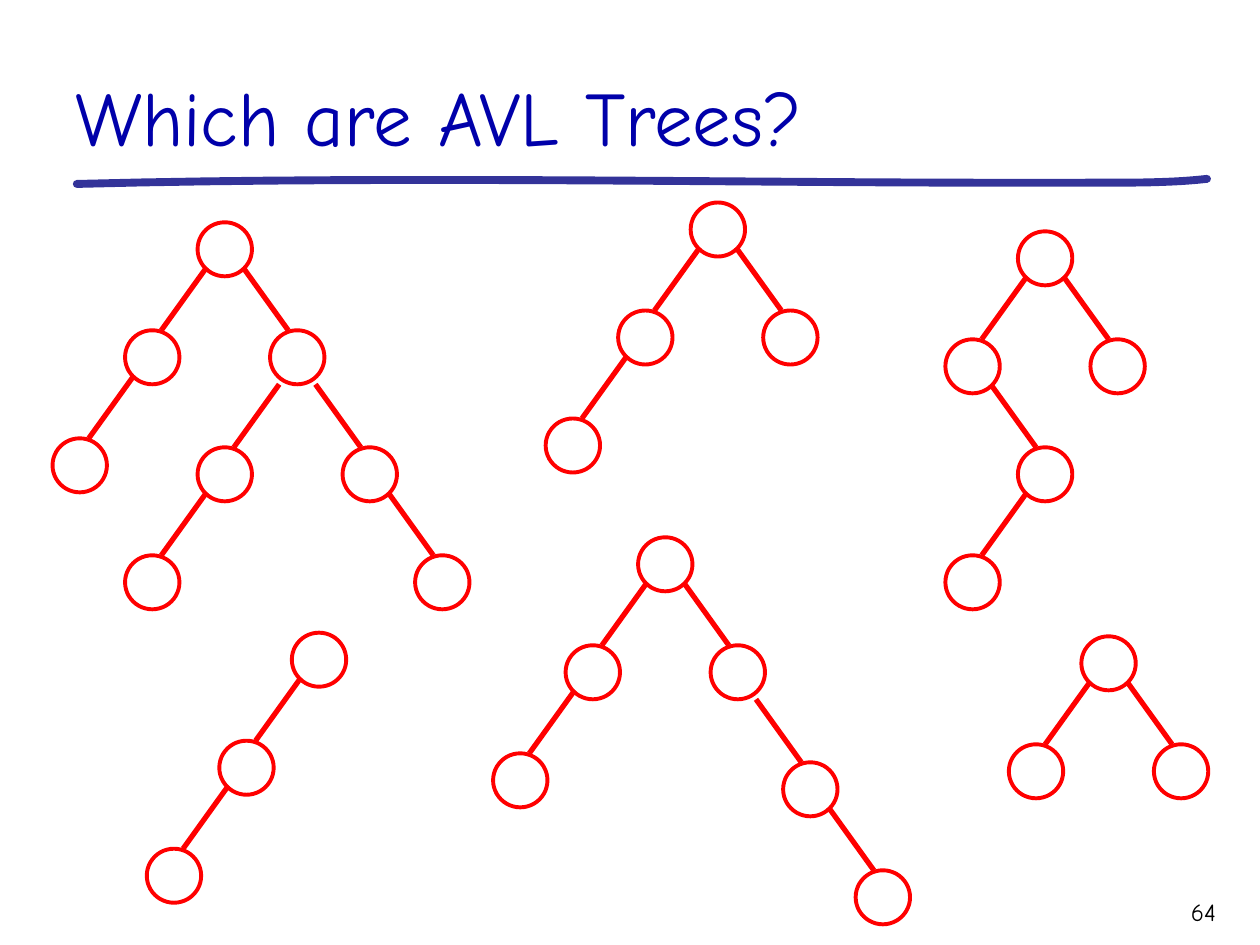
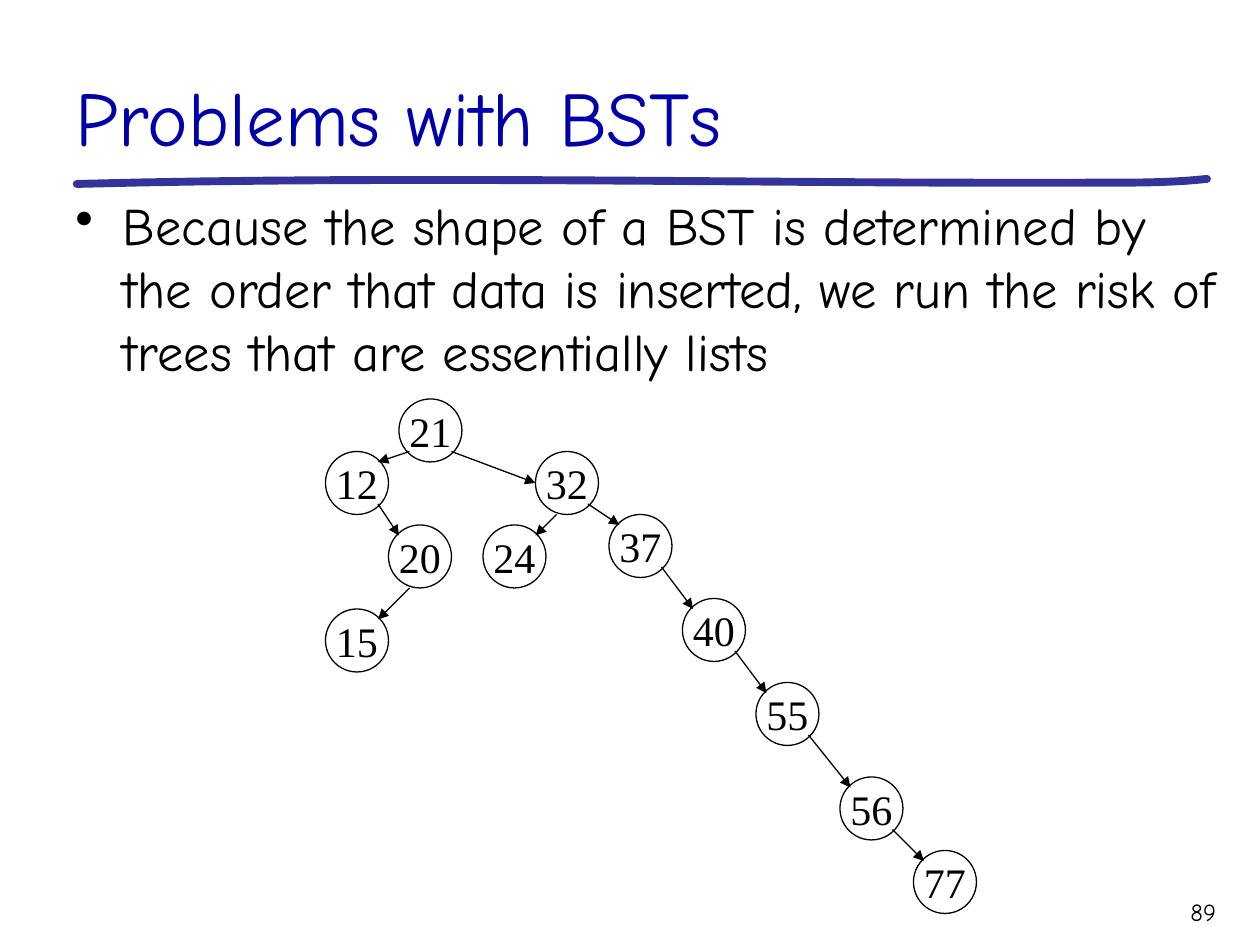
from dataclasses import dataclass

from lxml.etree import SubElement
from pptx import Presentation
from pptx.dml.color import RGBColor as RGB
from pptx.enum.shapes import MSO_CONNECTOR as Connector, MSO_SHAPE as Shape
from pptx.enum.text import MSO_ANCHOR as Anchor, PP_ALIGN as Align
from pptx.oxml.ns import qn
from pptx.util import Inches, Pt


@dataclass(frozen=True)
class Theme:
    ink: RGB = RGB(0x00, 0x00, 0x00)
    title: RGB = RGB(0x00, 0x00, 0xAA)
    rule: RGB = RGB(0x33, 0x33, 0x99)
    tree: RGB = RGB(0xFF, 0x00, 0x00)
    text_font: str = "Comic Neue"
    key_font: str = "Times New Roman"
    title_size: float = 44
    body_size: float = 30
    key_size: float = 24
    page_size: float = 14
    rule_width: float = 4.5
    edge_width: float = 3
    ring_width: float = 2.25
    thin_width: float = 0.75


PAGE_GRID = (120, 90)
TREE_GRID = (139, 105)
NODE = 6
RULE_CURVES = (
    ((7.32, 17.52), (39.96, 16.68), (72.6, 17.52), (105.12, 17.4)),
    ((105.12, 17.4), (108.48, 17.4), (111.72, 17.4), (114.96, 17.04)),
)
CURVE_STEPS = 16

STEPS = {"L": (-8, 12), "R": (8, 12), "l": (-8, 13), "r": (8, 13)}
AVL_CANDIDATES = (
    ((119.3, 70.7), "L R"),
    ((76.2, 22.5), "L R LL"),
    ((21.8, 24.7), "L R LL Rl Rr RlL RrR"),
    ((70.4, 59.7), "L R LL Rr RrR"),
    ((32.2, 70.3), "L LL"),
    ((112.3, 25.7), "L R LR LRL"),
)

BST_NODES = {
    21: (38, 38), 12: (31, 43), 20: (37, 50), 15: (31, 58),
    32: (51, 43), 24: (46, 50), 37: (58, 49), 40: (65, 57),
    55: (72, 65), 56: (80, 74), 77: (87, 81),
}
LEFT = ((1, 5), (5, 1))
STEEP_LEFT = ((2, 6), (5, 1))
RIGHT = ((5, 5), (1, 1))
FLAT_RIGHT = ((5, 5), (0, 3))
BST_EDGES = (
    (21, 12, LEFT), (12, 20, RIGHT), (20, 15, STEEP_LEFT),
    (21, 32, FLAT_RIGHT), (32, 24, STEEP_LEFT), (32, 37, RIGHT),
    (37, 40, RIGHT), (40, 55, RIGHT), (55, 56, RIGHT), (56, 77, RIGHT),
)


def shift(point, offset):
    return point[0] + offset[0], point[1] + offset[1]


def bezier(a, b, c, d, t):
    s = 1 - t
    weights = (s ** 3, 3 * s * s * t, 3 * s * t * t, t ** 3)
    return tuple(sum(w * p[axis] for w, p in zip(weights, (a, b, c, d)))
                 for axis in (0, 1))


class Deck:
    def __init__(self, theme):
        self.theme = theme
        self.prs = Presentation()
        self.prs.slide_width, self.prs.slide_height = Inches(10), Inches(7.5)

    def emu(self, column, row):
        columns, rows = self.grid
        return (round(self.prs.slide_width * column / columns),
                round(self.prs.slide_height * row / rows))

    def new_slide(self, title, number):
        theme = self.theme
        self.slide = self.prs.slides.add_slide(self.prs.slide_layouts[6])
        self.canvas = self.slide.shapes
        self.grid = PAGE_GRID
        self.rule()
        self.text(title, (6, 2), (111, 14), theme.title_size, theme.title,
                  anchor=Anchor.BOTTOM)
        self.text(str(number), (105, 84.8), (12, 4.2), theme.page_size,
                  theme.ink, align=Align.RIGHT)

    def new_group(self, grid):
        self.grid = grid
        self.canvas = self.slide.shapes.add_group_shape().shapes

    def rule(self):
        points = [self.emu(*bezier(*curve, step / CURVE_STEPS))
                  for curve in RULE_CURVES for step in range(CURVE_STEPS + 1)]
        outline = self.canvas.build_freeform(*points[0])
        outline.add_line_segments(points[1:], close=False)
        stroke = outline.convert_to_shape()
        stroke.fill.background()
        stroke.shadow.inherit = False
        self.pen(stroke, self.theme.rule, self.theme.rule_width)
        stroke.element.spPr.find(qn("a:ln")).set("cap", "rnd")

    def pen(self, shape, color, width):
        shape.line.color.rgb = color
        shape.line.width = Pt(width)

    def style(self, paragraph, size, color, font, align):
        paragraph.alignment = align
        paragraph.font.size = Pt(size)
        paragraph.font.name = font
        paragraph.font.color.rgb = color

    def text(self, words, at, size, points, color, align=Align.LEFT,
             anchor=Anchor.TOP, bullet=False):
        frame = self.canvas.add_textbox(
            *self.emu(*at), *self.emu(*size)).text_frame
        frame.word_wrap = True
        frame.vertical_anchor = anchor
        frame.text = words
        paragraph = frame.paragraphs[0]
        if bullet:
            self.bullet(paragraph)
        self.style(paragraph, points, color, self.theme.text_font, align)

    def bullet(self, paragraph):
        indent = self.emu(4.5, 0)[0]
        properties = paragraph._p.get_or_add_pPr()
        properties.set("marL", str(indent))
        properties.set("indent", str(-indent))
        SubElement(properties, qn("a:buChar")).set("char", "•")

    def node(self, at, color, width, key=None):
        circle = self.canvas.add_shape(
            Shape.OVAL, *self.emu(*at), *self.emu(NODE, NODE))
        circle.shadow.inherit = False
        circle.fill.background()
        self.pen(circle, color, width)
        if key is not None:
            frame = circle.text_frame
            frame.word_wrap = False
            frame.vertical_anchor = Anchor.MIDDLE
            frame.text = str(key)
            self.style(frame.paragraphs[0], self.theme.key_size, color,
                       self.theme.key_font, Align.CENTER)

    def edge(self, start, end, color, width, arrow=False):
        link = self.canvas.add_connector(
            Connector.STRAIGHT, *self.emu(*start), *self.emu(*end))
        self.pen(link, color, width)
        properties = link.element.spPr
        if arrow:
            SubElement(properties.find(qn("a:ln")),
                       qn("a:tailEnd")).set("type", "triangle")
        SubElement(properties, qn("a:effectLst"))

    def bare_tree(self, root, branches):
        theme = self.theme
        self.new_group(TREE_GRID)
        places = {"": root}
        self.node(root, theme.tree, theme.ring_width)
        for branch in branches.split():
            parent = places[branch[:-1]]
            across, drop = STEPS[branch[-1]]
            child = places[branch] = shift(parent, (across, drop))
            leave, arrive = (1, 4) if across < 0 else (5, 2)
            self.node(child, theme.tree, theme.ring_width)
            self.edge(shift(parent, (leave, drop - 7)),
                      shift(child, (arrive, 0)), theme.tree, theme.edge_width)

    def keyed_tree(self, nodes, edges):
        theme = self.theme
        self.new_group(PAGE_GRID)
        for key, place in nodes.items():
            self.node(place, theme.ink, theme.thin_width, key)
        for parent, child, (leave, arrive) in edges:
            self.edge(shift(nodes[parent], leave), shift(nodes[child], arrive),
                      theme.ink, theme.thin_width, arrow=True)


def main():
    theme = Theme()
    deck = Deck(theme)

    deck.new_slide("Which are AVL Trees?", 64)
    for root, branches in AVL_CANDIDATES:
        deck.bare_tree(root, branches)

    deck.new_slide("Problems with BSTs", 89)
    deck.text("Because the shape of a BST is determined by the order that data "
              "is inserted, we run the risk of trees that are essentially lists",
              (6, 17.8), (111.4, 20.2), theme.body_size, theme.ink, bullet=True)
    deck.keyed_tree(BST_NODES, BST_EDGES)

    deck.prs.save("out.pptx")


if __name__ == "__main__":
    main()
